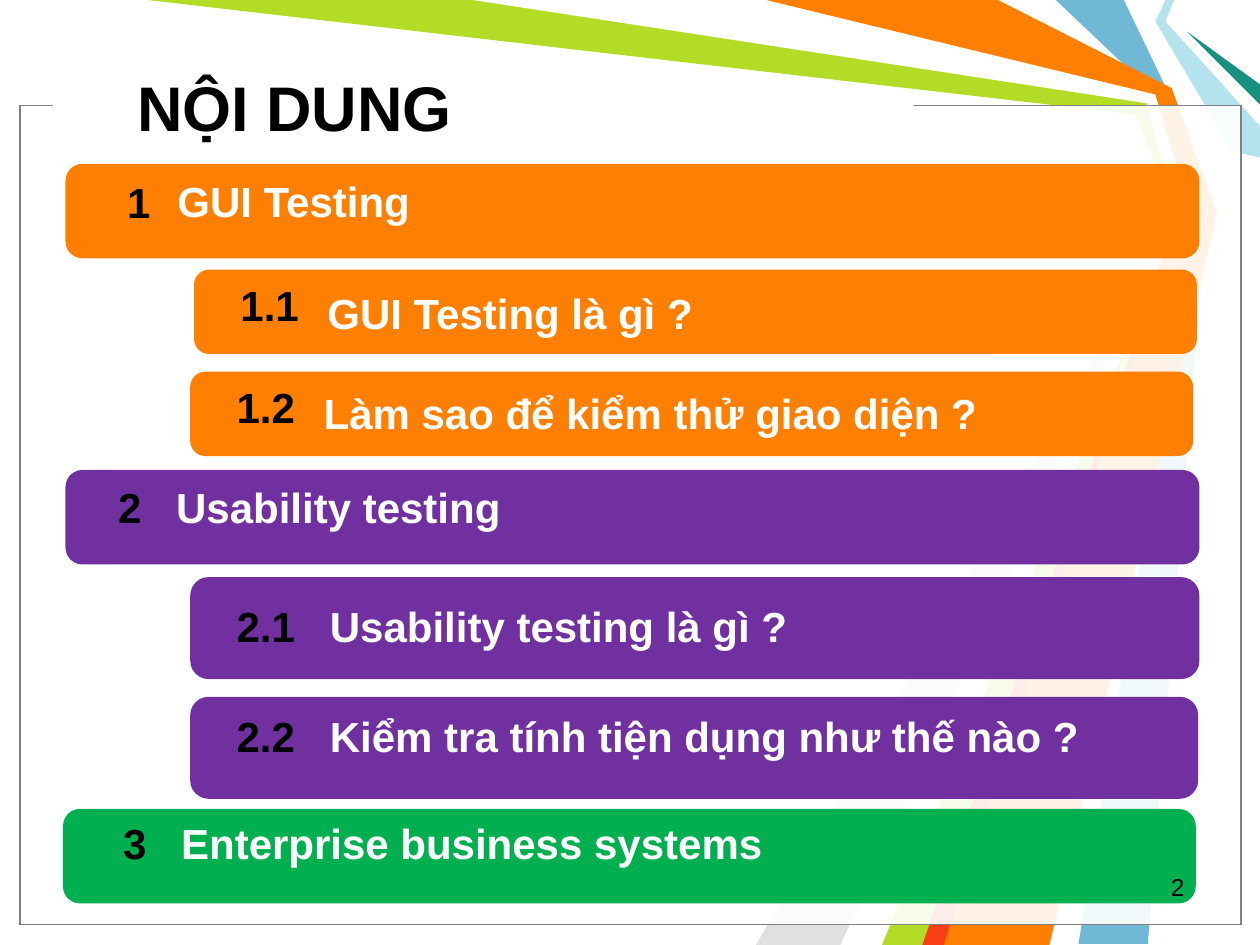
from dataclasses import dataclass

import pptx
import pptx.dml.color
import pptx.enum.shapes
import pptx.enum.text
import pptx.oxml
import pptx.oxml.ns
import pptx.util

Inches = pptx.util.Inches
Kind = pptx.enum.shapes.MSO_SHAPE
Align = pptx.enum.text.PP_ALIGN
Anchor = pptx.enum.text.MSO_ANCHOR

HUES = {
    "black": "000000", "white": "FFFFFF", "gray": "808080",
    "silver": "E0E0E0", "blue": "6FB9D7", "lime": "B3DC27",
    "aqua": "B4E3EE", "teal": "189180", "orange": "FF7F00",
    "red": "F93D17", "purple": "7030A0", "green": "00B050",
}


@dataclass
class Ray:
    hue: str
    points: list[tuple[float, float]]


@dataclass
class Row:
    mark: str
    label: str
    hue: str
    bar: tuple[float, float, float, float]
    text: tuple[float, float, float, float]
    stop: float = 0
    plate: tuple[float, float, float, float] | None = None


RAYS = [
    Ray("blue", [(8.92, 0), (9.29, 0.77), (9.58, 1.67), (9.11, 7.49),
                 (8.56, 7.49), (9.5, 1.67), (9.17, 0.75), (8.38, 0)]),
    Ray("lime", [(1.17, 0), (3.83, 0), (9.14, 0.78), (9.42, 1.69),
                 (7.42, 7.5), (6.92, 7.5), (9.35, 1.73), (9.01, 0.91)]),
    Ray("silver", [(6.67, 7.5), (9.27, 1.81), (6, 7.5)]),
    Ray("white", [(3.75, 0), (9.1, 0.82), (9.32, 1.62), (6.75, 7.5), (7, 7.5),
                  (9.41, 1.58), (9.17, 0.75), (6, 0)]),
    Ray("aqua", [(9.25, 0), (9.17, 0.17), (9.78, 1.2), (10, 1.25),
                 (10, 1), (9.25, 0.17), (9.32, 0)]),
    Ray("teal", [(10, 0.83), (9.42, 0.25), (10, 0.67)]),
    Ray("orange", [(6.08, 0), (7.92, 0), (9.3, 0.7), (9.66, 1.69), (8.33, 7.5),
                   (7.33, 7.5), (9.42, 1.58), (9.17, 0.75)]),
    Ray("red", [(7.32, 7.5), (9.32, 1.83), (7.49, 7.5)]),
]

ROWS = [
    Row("3", "Enterprise business systems", "green",
        (0.5, 6.42, 8.99, 0.75), (0.88, 6.44, 6.96, 0.5), stop=0.46),
    Row("2", "Usability testing", "purple",
        (0.52, 3.73, 9, 0.75), (0.84, 3.77, 7, 0.5), stop=0.46),
    Row("1", "GUI Testing", "orange",
        (0.52, 1.3, 9, 0.75), (0.91, 1.35, 0.79, 0.5),
        plate=(1.31, 1.34, 4.92, 0.5)),
    Row("1.1", "GUI Testing là gì ?", "orange",
        (1.54, 2.14, 7.96, 0.67), (1.81, 2.17, 0.79, 0.5),
        plate=(2.5, 2.23, 4.92, 0.5)),
    Row("1.2", "Làm sao để kiểm thử giao diện ?", "orange",
        (1.51, 2.95, 7.96, 0.67), (1.78, 2.98, 0.79, 0.5),
        plate=(2.47, 3.03, 6.78, 0.5)),
    Row("2.1", "Usability testing là gì ?", "purple",
        (1.51, 4.58, 8.01, 0.81), (1.78, 4.72, 7, 0.5), stop=0.74),
    Row("2.2", "Kiểm tra tính tiện dụng như thế nào ?", "purple",
        (1.51, 5.53, 8, 0.81), (1.78, 5.59, 7, 0.91), stop=0.74),
]


def tint(name: str) -> pptx.dml.color.RGBColor:
    return pptx.dml.color.RGBColor.from_string(HUES[name])


def paint(shape, hue: str) -> None:
    shape.shadow.inherit = False
    shape.fill.solid()
    shape.fill.fore_color.rgb = tint(hue)
    shape.line.fill.background()


def add_box(shapes, kind, box, hue: str, round_by: float | None = None):
    shape = shapes.add_shape(kind, *map(Inches, box))
    paint(shape, hue)
    if round_by is not None:
        shape.adjustments[0] = round_by
    return shape


def add_ray(shapes, ray: Ray) -> None:
    first, *rest = [(Inches(x), Inches(y)) for x, y in ray.points]
    pen = shapes.build_freeform(*first, scale=1.0)
    pen.add_line_segments(rest, close=True)
    paint(pen.convert_to_shape(), ray.hue)


def add_pane(shapes, edge: str) -> None:
    pane = add_box(shapes, Kind.RECTANGLE, (0.16, 0.84, 9.69, 6.5), "white")
    pane.line.color.rgb = tint(edge)
    pane.line.width = pptx.util.Pt(0.75)
    hue = pane.fill._xPr.find(".//" + pptx.oxml.ns.qn("a:srgbClr"))
    hue.append(pptx.oxml.parse_xml(
        f'<a:alpha {pptx.oxml.ns.nsdecls("a")} val="69000"/>'))


def add_bar(shapes, row: Row) -> None:
    left, top, width, height = row.bar
    group = shapes.add_group_shape().shapes
    add_box(group, Kind.ROUNDED_RECTANGLE, row.bar, row.hue, 0.18)
    for part in (0.71, 0.03):
        strip = (left + 0.02, top + part * height, width - 0.04, 0.23 * height)
        add_box(group, Kind.ROUNDED_RECTANGLE, strip, row.hue, 0.5)


def set_text(shape, *runs: tuple[str, str], size: float = 24,
             bold: bool = True, align=Align.LEFT, anchor=Anchor.TOP,
             stop: float = 0) -> None:
    frame = shape.text_frame
    frame.word_wrap = True
    frame.vertical_anchor = anchor
    para = frame.paragraphs[0]
    para.alignment = align
    for words, hue in runs:
        run = para.add_run()
        run.text = words
        run.font.name = "Arial"
        run.font.size = pptx.util.Pt(size)
        run.font.bold = bold
        run.font.color.rgb = tint(hue)
    if stop:
        para._p.get_or_add_pPr().append(pptx.oxml.parse_xml(
            f'<a:tabLst {pptx.oxml.ns.nsdecls("a")}>'
            f'<a:tab pos="{Inches(stop)}" algn="l"/></a:tabLst>'))


def add_text(shapes, box, *runs: tuple[str, str], **style) -> None:
    set_text(shapes.add_textbox(*map(Inches, box)), *runs, **style)


def add_row(shapes, row: Row) -> None:
    add_bar(shapes, row)
    if row.plate:
        plate = add_box(shapes, Kind.RECTANGLE, row.plate, row.hue)
        set_text(plate, (row.label, "white"))
        add_text(shapes, row.text, (row.mark, "black"))
    else:
        add_text(shapes, row.text, (row.mark + "\t", "black"),
                 (row.label, "white"), stop=row.stop)


def main() -> None:
    deck = pptx.Presentation()
    deck.slide_width, deck.slide_height = Inches(10), Inches(7.5)
    shapes = deck.slides.add_slide(deck.slide_layouts[6]).shapes
    for ray in RAYS:
        add_ray(shapes, ray)
    for edge in ("black", "gray"):
        add_pane(shapes, edge)
    add_box(shapes, Kind.RECTANGLE, (0.42, 0.74, 6.83, 0.17), "white")
    add_text(shapes, (0.99, 0.22, 6.89, 1.25), ("NỘI DUNG", "black"),
             size=36, anchor=Anchor.MIDDLE)
    for row in ROWS:
        add_row(shapes, row)
    add_text(shapes, (7.17, 6.87, 2.33, 0.33), ("2", "black"),
             size=14, bold=False, align=Align.RIGHT)
    deck.save("out.pptx")


if __name__ == "__main__":
    main()
